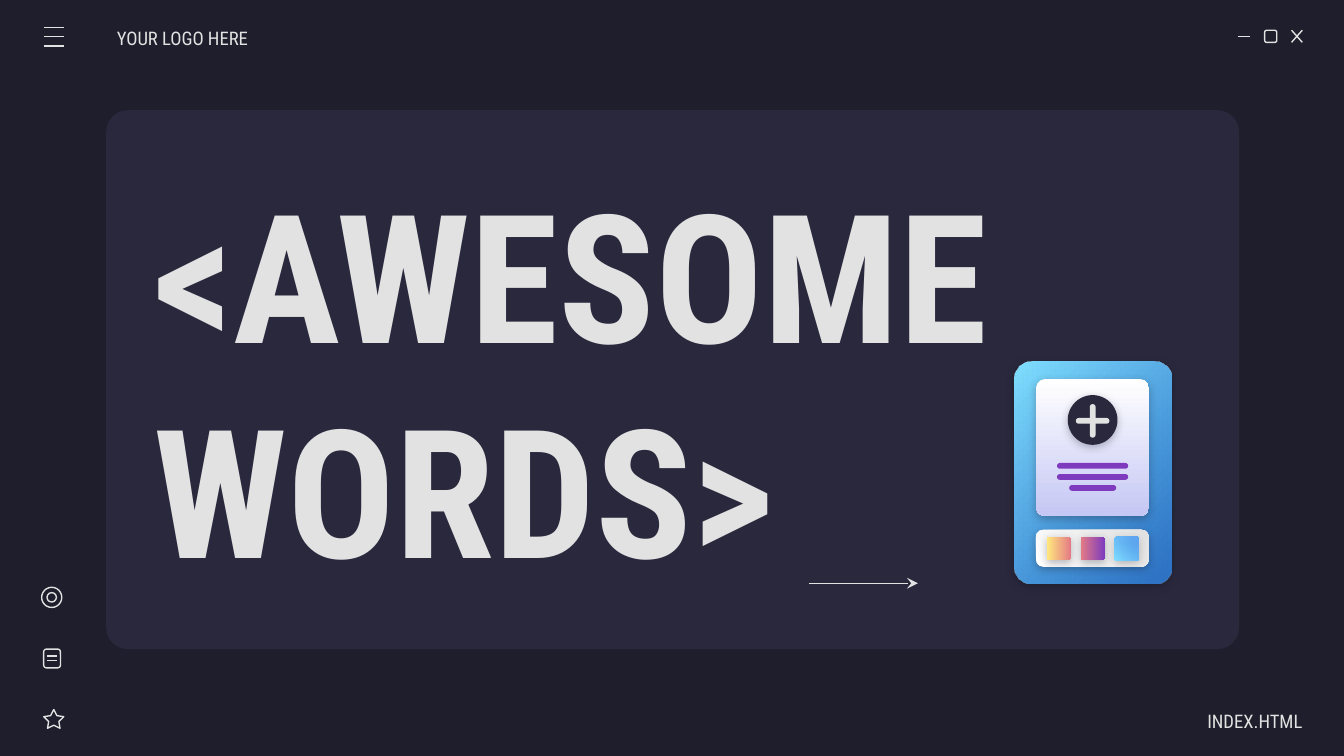
from dataclasses import dataclass

from lxml.etree import SubElement
from pptx import Presentation
from pptx.dml.color import RGBColor
from pptx.enum.shapes import MSO_CONNECTOR as Connector, MSO_SHAPE as Preset
from pptx.enum.text import MSO_ANCHOR as Anchor, MSO_AUTO_SIZE as AutoSize, PP_ALIGN as Align
from pptx.oxml.ns import qn
from pptx.util import Inches, Pt

COLUMNS, ROWS = 100, 56.25
WIDTH = Inches(10)
HEIGHT = int(WIDTH * ROWS / COLUMNS)
TITLE_ONLY = 5


@dataclass(frozen=True)
class Theme:
    background: str = "1E1E2C"
    panel: str = "29283D"
    light: str = "E2E2E2"
    white: str = "FFFFFF"
    lilac: str = "C5C7F4"
    purple: str = "7E3BBE"
    yellow: str = "FFEA7D"
    coral: str = "E57C85"
    sky: str = "80DFFF"
    blue: str = "318FFA"
    font: str = "Roboto Condensed"
    title_size: float = 96
    label_size: float = 10
    line_width: float = 0.75
    blue_opacity: int = 72
    soft_shadow: int = 30


def set_values(target, values):
    for name, value in values.items():
        setattr(target, name, value)


def set_opacity(color_parent, percent):
    for color in color_parent.iter(qn("a:srgbClr")):
        SubElement(color, qn("a:alpha"), val=str(percent * 1000))


class SlideBuilder:
    """Draws on one slide; places and sizes are grid columns and rows."""

    def __init__(self, slide, theme):
        self.slide, self.theme = slide, theme
        fill = slide.background.fill
        fill.solid()
        fill.fore_color.rgb = RGBColor.from_string(theme.background)

    def x(self, columns):
        return int(WIDTH * columns / COLUMNS)

    def y(self, rows):
        return int(HEIGHT * rows / ROWS)

    def frame(self, left, top, width, height):
        return self.x(left), self.y(top), self.x(width), self.y(height)

    def style_line(self, line):
        line.color.rgb = RGBColor.from_string(self.theme.light)
        line.width = Pt(self.theme.line_width)

    def shape(self, preset, box, corner=None, fill=None, gradient=None, rotation=0, shadow=None):
        """Filled without an outline, or outlined when no fill is given."""
        shape = self.slide.shapes.add_shape(preset, *self.frame(*box))
        shape.rotation = rotation
        if corner is not None:
            shape.adjustments[0] = corner
        if gradient:
            self.gradient(shape.fill, *gradient)
        elif fill:
            shape.fill.solid()
            shape.fill.fore_color.rgb = RGBColor.from_string(fill)
        else:
            shape.fill.background()
        if fill or gradient:
            shape.line.fill.background()
        else:
            self.style_line(shape.line)
        shape.shadow.inherit = False
        if shadow:
            self.shadow(shape, shadow)
        return shape

    def gradient(self, fill, start, end, clockwise_angle):
        fill.gradient()
        fill.gradient_angle = 360 - clockwise_angle
        for stop, color in zip(fill.gradient_stops, (start, end)):
            stop.color.rgb = RGBColor.from_string(color)

    def shadow(self, shape, opacity):
        effects = next(shape.element.iter(qn("a:effectLst")))
        outer = SubElement(effects, qn("a:outerShdw"), blurRad=str(Pt(4.5)),
                           dist=str(Pt(1.5)), dir="5400000", algn="bl", rotWithShape="0")
        SubElement(outer, qn("a:srgbClr"), val=self.theme.background)
        set_opacity(outer, opacity)

    def blue_shape(self, box, corner, shadow, rotation=0):
        theme = self.theme
        shape = self.shape(Preset.ROUNDED_RECTANGLE, box, corner, rotation=rotation,
                           gradient=(theme.sky, theme.blue, 45), shadow=shadow)
        set_opacity(list(shape.element.iter(qn("a:gs")))[-1], theme.blue_opacity)

    def line(self, start, end, arrow=False):
        connector = self.slide.shapes.add_connector(
            Connector.STRAIGHT, self.x(start[0]), self.y(start[1]), self.x(end[0]), self.y(end[1]))
        self.style_line(connector.line)
        properties = connector.element.find(qn("p:spPr"))
        if arrow:
            SubElement(properties.find(qn("a:ln")), qn("a:tailEnd"), type="stealth")
        SubElement(properties, qn("a:effectLst"))

    def fill_text(self, shape, text, size, bold=False, align=Align.LEFT, spacing=1.0,
                  left=1, right=1):
        frame = shape.text_frame
        set_values(frame, dict(
            text=text, word_wrap=True, auto_size=AutoSize.NONE, vertical_anchor=Anchor.MIDDLE,
            margin_left=self.x(left), margin_right=self.x(right),
            margin_top=self.y(1), margin_bottom=self.y(1)))
        paragraph = frame.paragraphs[0]
        set_values(paragraph, dict(alignment=align, line_spacing=spacing))
        font = paragraph.runs[0].font
        set_values(font, dict(name=self.theme.font, size=Pt(size), bold=bold))
        font.color.rgb = RGBColor.from_string(self.theme.light)

    def title(self, text, box):
        title = self.slide.shapes.title
        set_values(title, dict(zip(("left", "top", "width", "height"), self.frame(*box))))
        self.fill_text(title, text, self.theme.title_size, bold=True)

    def label(self, text, box, **options):
        self.fill_text(self.slide.shapes.add_textbox(*self.frame(*box)), text,
                       self.theme.label_size, spacing=1.15, **options)


def draw_window(builder):
    rounded = Preset.ROUNDED_RECTANGLE
    builder.shape(rounded, (7.9, 8.2, 84.3, 40.1), 0.04, fill=builder.theme.panel)
    builder.line((92.1, 2.7), (93, 2.7))
    builder.shape(rounded, (94.1, 2.25, 0.9, 0.9), 0.167)
    builder.line((96.1, 2.25), (96.9, 3.15))
    builder.line((96.9, 2.25), (96.1, 3.15))
    for bar in range(3):
        row = 2.05 + 0.68 * bar
        builder.line((3.25, row), (4.75, row))


def draw_side_icons(builder):
    builder.shape(Preset.OVAL, (3.1, 43.7, 1.5, 1.5))
    builder.shape(Preset.OVAL, (3.5, 44.1, 0.7, 0.7))
    builder.shape(Preset.ROUNDED_RECTANGLE, (3.25, 48.3, 1.25, 1.4), 0.167)
    for row in (48.8, 49.15):
        builder.line((3.5, row), (4.25, row))
    builder.shape(Preset.STAR_5_POINT, (3.25, 52.8, 1.5, 1.4), 0.254)


def draw_device(builder):
    theme, rounded = builder.theme, Preset.ROUNDED_RECTANGLE
    soft = theme.soft_shadow
    builder.blue_shape((75.5, 26.9, 11.65, 16.5), 0.108, shadow=100)
    builder.shape(rounded, (77.1, 28.2, 8.4, 10.2), 0.08,
                  gradient=(theme.white, theme.lilac, 90), shadow=soft)
    for index, width in enumerate((5.3, 5.3, 3.5)):
        builder.shape(rounded, (81.3 - width / 2, 34.45 + 0.82 * index, width, 0.43), 0.5,
                      fill=theme.purple)
    builder.shape(Preset.OVAL, (79.45, 29.4, 3.7, 3.7), fill=theme.panel, shadow=soft)
    for rotation in (0, 90):
        builder.shape(rounded, (80.05, 31.1, 2.5, 0.43), 0.5, fill=theme.light, rotation=rotation)
    builder.shape(rounded, (79.9, 36.6, 2.75, 8.4), 0.198, rotation=270,
                  gradient=(theme.white, theme.light, 45), shadow=soft)

    swatches = [(77.9 + 2.53 * index, 39.9, 1.75, 1.8) for index in range(3)]
    colors = (theme.yellow, theme.coral), (theme.coral, theme.purple)
    for box, (start, end) in zip(swatches, colors):
        builder.shape(rounded, box, 0.073, rotation=270, gradient=(start, end, 90), shadow=soft)
    builder.blue_shape(swatches[-1], 0.073, soft, rotation=270)


def main():
    presentation = Presentation()
    set_values(presentation, dict(slide_width=WIDTH, slide_height=HEIGHT))
    slide = presentation.slides.add_slide(presentation.slide_layouts[TITLE_ONLY])
    builder = SlideBuilder(slide, Theme())
    draw_window(builder)
    draw_side_icons(builder)
    builder.label("YOUR LOGO HERE", (8.7, 1.2, 11.7, 3), left=0)
    builder.label("INDEX.HTML", (85.2, 52, 11.7, 3), align=Align.RIGHT, right=0)
    builder.title("<AWESOME WORDS>", (10.4, 13.3, 64.3, 29.8))
    draw_device(builder)
    builder.line((60.2, 43.4), (68.3, 43.4), arrow=True)
    # The title placeholder comes first in the tree, so lift it above the panel.
    panel = slide.shapes[1].element
    panel.addnext(slide.shapes.title.element)
    presentation.save("out.pptx")


if __name__ == "__main__":
    main()
